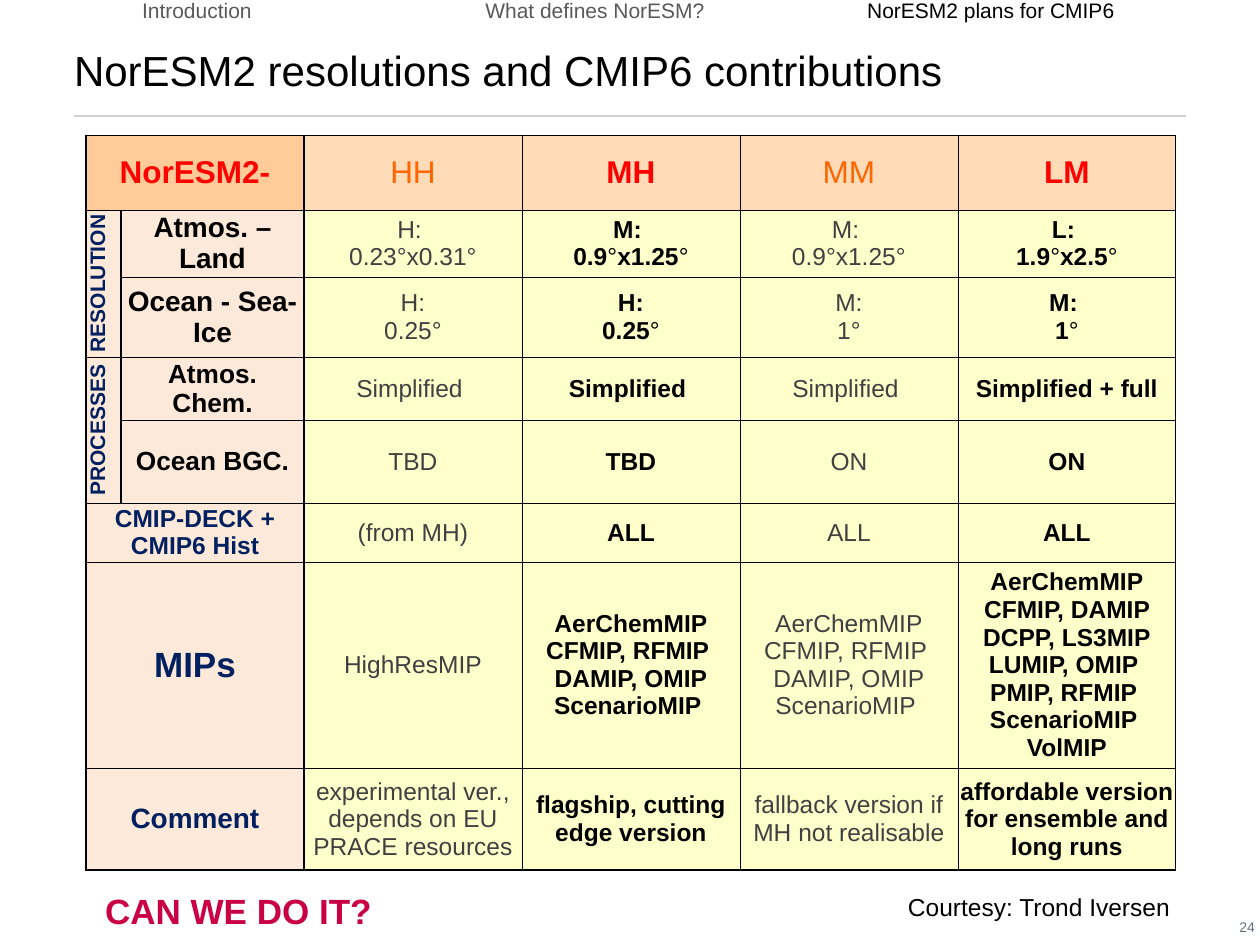
from pptx import Presentation
from pptx.dml.color import RGBColor
from pptx.enum.text import MSO_ANCHOR as Anchor, PP_ALIGN as Align
from pptx.enum.shapes import MSO_CONNECTOR as Conn
from pptx.oxml import parse_xml
from pptx.oxml.ns import nsdecls
from pptx.util import Pt

SCALE = 914400 / 126


def px(n):
    return round(n * SCALE)


def add_run(para, text, size, color, bold=False):
    run = para.add_run()
    run.text = text
    run.font.name = "Arial"
    run.font.size = Pt(size)
    run.font.bold = bold
    run.font.color.rgb = RGBColor.from_string(color)


prs = Presentation()
prs.slide_width, prs.slide_height = px(1260), px(945)
slide = prs.slides.add_slide(prs.slide_layouts[6])
shapes = slide.shapes

rule = shapes.add_connector(Conn.STRAIGHT, px(74), px(116), px(1186), px(116))
rule.line.color.rgb = RGBColor.from_string("CED0D3")
rule.line.width = Pt(0.85)
rule._element.spPr.append(parse_xml(f"<a:effectLst {nsdecls('a')}/>"))

labels = [
    ("NorESM2 resolutions and CMIP6 contributions", 74, 44, 1112, 51, 24, "000000", False, Align.LEFT, Anchor.BOTTOM),
    ("24", 965, 919, 290, 16, 8, "697078", False, Align.RIGHT, Anchor.MIDDLE),
    ("Courtesy: Trond Iversen", 908, 891, 278, 32, 14, "000000", False, Align.LEFT, Anchor.MIDDLE),
    ("Introduction", 97, -3, 200, 26, 12, "595959", False, Align.CENTER, Anchor.MIDDLE),
    ("What defines NorESM?", 465, -3, 260, 26, 12, "595959", False, Align.CENTER, Anchor.MIDDLE),
    ("NorESM2 plans for CMIP6", 851, -3, 280, 26, 12, "000000", False, Align.CENTER, Anchor.MIDDLE),
    ("CAN WE DO IT?", 105, 882, 295, 56, 20, "CA0045", True, Align.LEFT, Anchor.MIDDLE),
]
for text, x, y, w, h, size, color, bold, align, anchor in labels:
    frame = shapes.add_textbox(px(x), px(y), px(w), px(h)).text_frame
    frame.margin_left = frame.margin_right = frame.margin_top = frame.margin_bottom = 0
    frame.word_wrap = True
    frame.vertical_anchor = anchor
    frame.paragraphs[0].alignment = align
    add_run(frame.paragraphs[0], text, size, color, bold)

mips = "AerChemMIP\nCFMIP, RFMIP \nDAMIP, OMIP\nScenarioMIP "
rows = [
    ["NorESM2-", "", "HH", "MH", "MM", "LM"],
    ["RESOLUTION", "Atmos. – Land", "H: \n0.23°x0.31°", "M: \n0.9°x1.25°", "M: \n0.9°x1.25°", "L: \n1.9°x2.5°"],
    ["", "Ocean - Sea-Ice", "H:\n0.25°", "H:\n0.25°", "M:\n1°", "M: \n1°"],
    ["PROCESSES", "Atmos.\nChem.", "Simplified ", "Simplified ", "Simplified ", "Simplified + full"],
    ["", "Ocean BGC.", "TBD", "TBD", "ON", "ON"],
    ["CMIP-DECK + CMIP6 Hist", "", "(from MH)", "ALL", "ALL", "ALL"],
    ["MIPs", "", "HighResMIP", mips, mips,
     "AerChemMIP\nCFMIP, DAMIP DCPP, LS3MIP\nLUMIP, OMIP \nPMIP, RFMIP \nScenarioMIP \nVolMIP"],
    ["Comment", "", "experimental ver., depends on EU PRACE resources", "flagship, cutting edge version",
     "fallback version if MH not realisable", "affordable version for ensemble and long runs"],
]
widths = [35, 183] + [218] * 4
heights = [75, 62, 80, 58, 83, 55, 193, 102]
sizes = [(18, 18), (12, 16), (12, 16), (12, 15), (12, 15), (14, 14), (20, 20), (16, 16)]

holder = shapes.add_table(len(rows), len(widths), px(86), px(135), px(sum(widths)), px(sum(heights)))
table = holder.table
table.first_row = table.horz_banding = False
for col, w in zip(table.columns, widths):
    col.width = px(w)
for row, h in zip(table.rows, heights):
    row.height = px(h)
for r in (0, 5, 6, 7):
    table.cell(r, 0).merge(table.cell(r, 1))
for r in (1, 3):
    table.cell(r, 0).merge(table.cell(r + 1, 0))
    table.cell(r, 0)._tc.get_or_add_tcPr().set("vert", "vert270")

for r, row in enumerate(rows):
    for c, text in enumerate(row):
        cell = table.cell(r, c)
        main = c % 2 == 1
        bold = c < 2 or main
        size = sizes[r][c] if c < 2 else 18 if r == 0 else 14
        if r == 0:
            fill = "FFCC99" if c < 2 else "FFDBB7"
            color = "FF0000" if bold else "FF6600"
        else:
            fill = "FDE9D9" if c < 2 else "FFFFCC"
            color = "002060" if c == 0 else "000000" if main else "404040"
        cell.margin_left = cell.margin_right = cell.margin_top = cell.margin_bottom = 0
        cell.vertical_anchor = Anchor.MIDDLE
        edges = {"L": c < 3, "R": c < 2, "T": False, "B": r == len(rows) - 1}
        for side, thick in edges.items():
            cell._tc.get_or_add_tcPr().append(parse_xml(
                f'<a:ln{side} {nsdecls("a")} w="{12700 if thick else 6350}"><a:solidFill>'
                f'<a:srgbClr val="000000"/></a:solidFill></a:ln{side}>'))
        cell.fill.solid()
        cell.fill.fore_color.rgb = RGBColor.from_string(fill)
        if not text:
            continue
        for i, line in enumerate(text.split("\n")):
            frame = cell.text_frame
            para = frame.add_paragraph() if i else frame.paragraphs[0]
            para.alignment = Align.CENTER
            parts = line.replace("°", "|°|").split("|") if bold else [line]
            for part in filter(None, parts):
                add_run(para, part, size, color, bold and part != "°")

prs.save("out.pptx")
